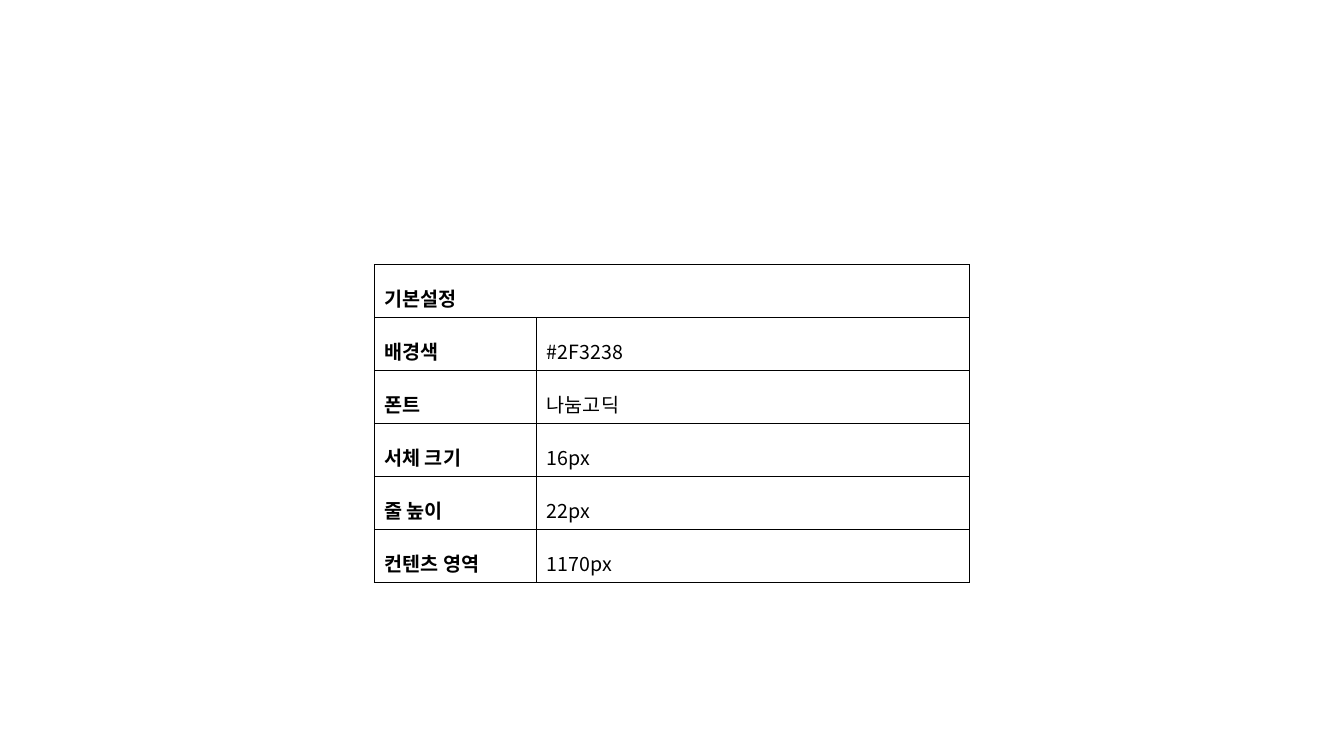
from dataclasses import dataclass

from lxml import etree
from pptx import Presentation
from pptx.dml.color import RGBColor
from pptx.oxml import ns
from pptx.util import Pt


@dataclass(frozen=True)
class Theme:
    ink: str = "000000"
    face: str = "Noto Sans CJK KR"
    size: float = 14
    lead: float = 1.5
    rule: float = 1


class Page:
    def __init__(self, slide, theme):
        self.slide = slide
        self.theme = theme

    def border(self, cell):
        props = cell._tc.get_or_add_tcPr()
        for n, side in enumerate(("lnL", "lnR", "lnT", "lnB")):
            line = etree.Element(ns.qn("a:" + side), w=str(Pt(self.theme.rule)))
            fill = etree.SubElement(line, ns.qn("a:solidFill"))
            etree.SubElement(fill, ns.qn("a:srgbClr"), val=self.theme.ink)
            props.insert(n, line)

    def label(self, cell, words, bold):
        cell.text = words
        para = cell.text_frame.paragraphs[0]
        para.line_spacing = self.theme.lead
        font = para.font
        font.size = Pt(self.theme.size)
        font.bold = bold
        font.color.rgb = RGBColor.from_string(self.theme.ink)
        font.name = self.theme.face
        etree.SubElement(font._element, ns.qn("a:ea"), typeface=self.theme.face)

    def table(self, left, top, widths, height, head, rows):
        count = len(rows) + 1
        grid = self.slide.shapes.add_table(
            count, len(widths), Pt(left), Pt(top), Pt(sum(widths)), Pt(height * count)
        ).table
        grid.first_row = grid.horz_banding = False
        for col, width in zip(grid.columns, widths):
            col.width = Pt(width)
        for cell in grid.iter_cells():
            cell.fill.background()
            self.border(cell)
        grid.cell(0, 0).merge(grid.cell(0, len(widths) - 1))
        self.label(grid.cell(0, 0), head, True)
        for r, row in enumerate(rows, 1):
            for c, words in enumerate(row):
                self.label(grid.cell(r, c), words, c == 0)


def main():
    """Build the slide of basic settings."""
    deck = Presentation()
    deck.slide_width, deck.slide_height = Pt(960), Pt(540)
    page = Page(deck.slides.add_slide(deck.slide_layouts[6]), Theme())
    page.table(267.4, 189, (116, 309), 29.5, "기본설정", (
        ("배경색", "#2F3238"),
        ("폰트", "나눔고딕"),
        ("서체 크기", "16px"),
        ("줄 높이", "22px"),
        ("컨텐츠 영역", "1170px"),
    ))
    deck.save("out.pptx")


if __name__ == "__main__":
    main()
